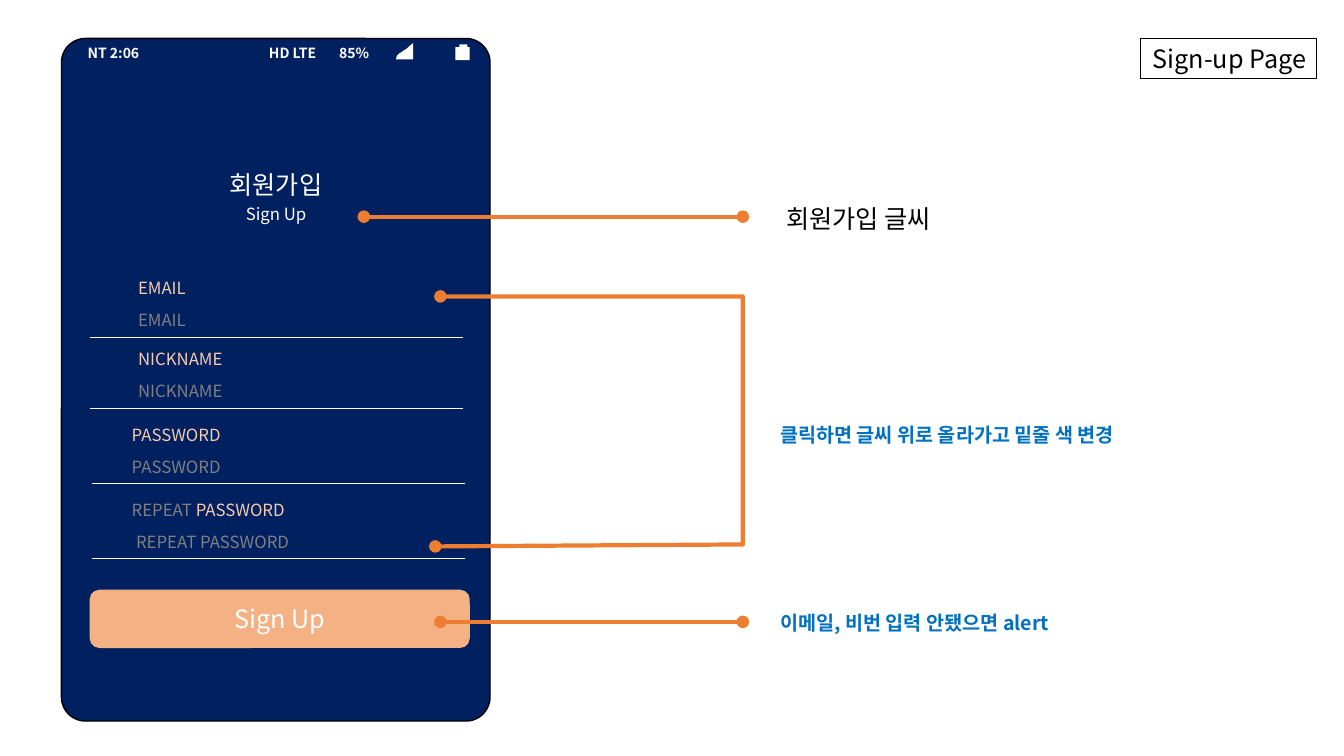
from dataclasses import dataclass
from lxml.etree import SubElement
from pptx import Presentation
from pptx.dml.color import RGBColor
from pptx.enum.shapes import MSO_CONNECTOR, MSO_SHAPE
from pptx.enum.text import MSO_ANCHOR, MSO_AUTO_SIZE, PP_ALIGN
from pptx.oxml.ns import qn
from pptx.util import Cm, Pt


@dataclass
class Theme:
    font: str = "Noto Sans CJK KR"
    navy: str = "002060"
    peach: str = "F4B183"
    pale: str = "F8CBAD"
    grey: str = "808080"
    white: str = "FFFFFF"
    black: str = "000000"
    blue: str = "0070C0"
    orange: str = "ED7D31"
    big: int = 18
    mid: int = 14
    small: int = 12
    tiny: int = 10


look = Theme()
deck = Presentation()
deck.slide_width, deck.slide_height = Cm(33.87), Cm(19.05)
slide = deck.slides.add_slide(deck.slide_layouts[6])
shapes = slide.shapes


def write(runs, box, size=look.small, color=look.white, bold=False,
          align=PP_ALIGN.LEFT, wrap=True, shape=None, tabs=()):
    """Put text, or a list of (text, colour) runs, in a new box or a shape."""
    grow = shape is None
    if grow:
        shape = shapes.add_textbox(*map(Cm, box))
    frame = shape.text_frame
    frame.word_wrap = wrap
    frame.auto_size = MSO_AUTO_SIZE.SHAPE_TO_FIT_TEXT if grow else MSO_AUTO_SIZE.NONE
    frame.vertical_anchor = MSO_ANCHOR.TOP if grow else MSO_ANCHOR.MIDDLE
    para = frame.paragraphs[0]
    para.alignment = align
    if tabs:
        stops = SubElement(para._p.get_or_add_pPr(), qn("a:tabLst"))
        for stop in tabs:
            SubElement(stops, qn("a:tab"), pos=str(Cm(stop)), algn="l")
    for words, tint in [(runs, color)] if isinstance(runs, str) else runs:
        run = para.add_run()
        run.text = words
        run.font.size, run.font.bold = Pt(size), bold
        run.font.color.rgb = RGBColor.from_string(tint)
        run.font.name = look.font
        SubElement(run._r.get_or_add_rPr(), qn("a:ea"), typeface=look.font)
    return shape


def paint(shape, fill=None, line=None, width=1, dots=False):
    """Set fill and line; dots puts a round head on both ends."""
    if hasattr(shape, "fill"):
        shape.shadow.inherit = False
        if fill:
            shape.fill.solid()
            shape.fill.fore_color.rgb = RGBColor.from_string(fill)
        else:
            shape.fill.background()
    if line:
        shape.line.color.rgb = RGBColor.from_string(line)
        shape.line.width = Pt(width)
    else:
        shape.line.fill.background()
    if dots:
        for end in ("a:headEnd", "a:tailEnd"):
            SubElement(shape.line._get_or_add_ln(), qn(end), type="oval")
    if not hasattr(shape, "fill"):
        SubElement(shape._element.spPr, qn("a:effectLst"))
    return shape


# Phone body
phone = shapes.add_shape(MSO_SHAPE.ROUNDED_RECTANGLE, Cm(1.55), Cm(0.97), Cm(10.8), Cm(17.2))
phone.adjustments[0] = 0.056
paint(phone, look.navy, look.black)

# Status bar: text, signal, battery
write("NT 2:06\tHD LTE\t85%", (1.96, 0.99, 10.13, 0.69), look.tiny, bold=True,
      tabs=(4.57, 6.34))
pen = shapes.build_freeform(Cm(9.98), Cm(1.5), scale=1)
pen.add_line_segments([(Cm(x), Cm(y)) for x, y in (
    (10.41, 1.5), (10.41, 1.09), (10.31, 1.17), (10.26, 1.22),
    (10.18, 1.27), (10.11, 1.32), (10.06, 1.35), (10, 1.41))])
paint(pen.convert_to_shape(), look.white)
for cell in ((11.48, 1.19, 0.36, 0.33), (11.58, 1.12, 0.2, 0.3)):
    paint(shapes.add_shape(MSO_SHAPE.RECTANGLE, *map(Cm, cell)), look.white)

# Heading
write("회원가입", (5.28, 4.14, 3.35, 1.02), look.big, align=PP_ALIGN.CENTER)
write("Sign Up", (3.99, 5, 5.94, 0.76), align=PP_ALIGN.CENTER)

# Input fields: label, hint, label left, hint left, label top, rule left, rule top
email = [("EMAIL", look.pale)]
nick = [("NICKNAME", look.pale)]
code = [("PASSWORD", look.pale)]
again = [("REPEAT ", look.grey), *code]
for label, hint, left, inset, top, start, rule in (
        (email, "EMAIL", 3.23, 3.23, 6.88, 2.26, 8.51),
        (nick, "NICKNAME", 3.23, 3.23, 8.66, 2.26, 10.29),
        (code, "PASSWORD", 3.07, 3.07, 10.59, 2.31, 12.19),
        (again, "REPEAT PASSWORD", 3.07, 3.18, 12.47, 2.31, 14.07)):
    write(label, (left, top, 5.2, 0.76))
    write(hint, (inset, top + 0.8, 5.2, 0.76), color=look.grey)
    paint(shapes.add_connector(MSO_CONNECTOR.STRAIGHT, Cm(start), Cm(rule),
                               Cm(start + 9.4), Cm(rule)), line=look.white, width=0.5)

# Button
button = shapes.add_shape(MSO_SHAPE.ROUNDED_RECTANGLE, Cm(2.26), Cm(14.86), Cm(9.58), Cm(1.47))
paint(button, look.peach)
write("Sign Up", None, look.big, align=PP_ALIGN.CENTER, shape=button)

# Page title
title = write("Sign-up Page", (28.75, 0.97, 4.42, 1.02), look.big, look.black,
              align=PP_ALIGN.RIGHT, wrap=False)
paint(title, line=look.black, width=0.75)

# Callout lines
for start, top in ((9.17, 5.46), (11.1, 15.67)):
    paint(shapes.add_connector(MSO_CONNECTOR.STRAIGHT, Cm(start), Cm(top), Cm(18.72), Cm(top)),
          line=look.orange, width=3, dots=True)
pen = shapes.build_freeform(Cm(10.97), Cm(13.77), scale=1)
pen.add_line_segments([(Cm(x), Cm(y)) for x, y in (
    (18.72, 13.72), (18.72, 7.47), (11.1, 7.47))], close=False)
paint(pen.convert_to_shape(), line=look.orange, width=3, dots=True)

# Callout notes
write("회원가입 글씨", (19.57, 5, 4.6, 1.02), look.big, look.black, wrap=False)
for note, top, wide in (("클릭하면 글씨 위로 올라가고 밑줄 색 변경", 10.52, 10.03),
                        ("이메일, 비번 입력 안됐으면 alert", 15.27, 7.9)):
    write(note, (19.41, top, wide, 0.86), look.mid, look.blue, bold=True, wrap=False)

deck.save("out.pptx")
